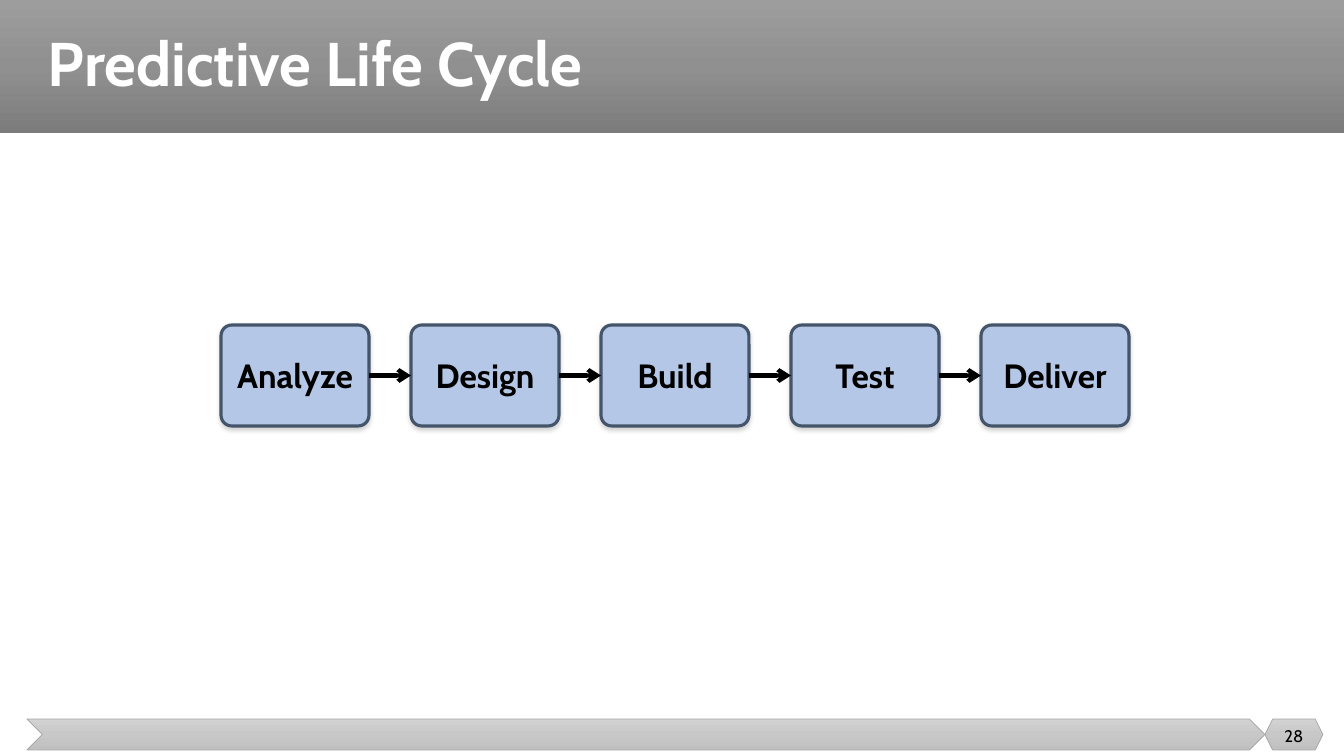
from copy import deepcopy

from lxml import etree
from pptx import Presentation
from pptx.dml.color import RGBColor
from pptx.enum.shapes import MSO_CONNECTOR, MSO_SHAPE
from pptx.enum.text import MSO_ANCHOR, PP_ALIGN
from pptx.oxml.ns import qn
from pptx.util import Pt

EMU_PER_PX = 914400 / 100.8
RECT, ROUNDED = MSO_SHAPE.RECTANGLE, MSO_SHAPE.ROUNDED_RECTANGLE
CHEVRON, HEXAGON = MSO_SHAPE.CHEVRON, MSO_SHAPE.HEXAGON
STRAIGHT = MSO_CONNECTOR.STRAIGHT
LEFT, CENTER = PP_ALIGN.LEFT, PP_ALIGN.CENTER
MIDDLE = MSO_ANCHOR.MIDDLE
LEFT_SIDE, RIGHT_SIDE = 1, 3

FONT = "Cabin"
COLORS = {
    "white": "FFFFFF", "black": "000000", "box": "B4C7E7", "box_line": "44546A",
    "footer_line": "A5A5A5", "shadow": "808080",
}
HEADER_GRADIENT = ("9D9D9D", "909090", "7C7C7C")
FOOTER_GRADIENT = ("D2D2D2", "C8C8C8", "C0C0C0")
STEPS = ("Analyze", "Design", "Build", "Test", "Deliver")


def px(n):
    return round(n * EMU_PER_PX)


def rgb(name):
    return RGBColor.from_string(COLORS[name])


class SlideBuilder:
    def __init__(self, slide):
        self.s = slide

    def put_text(self, sp, text, size, color, bold=False, align=CENTER):
        tf = sp.text_frame
        tf.word_wrap = True
        tf.vertical_anchor = MIDDLE
        p = tf.paragraphs[0]
        p.alignment = align
        r = p.add_run()
        r.text = text
        r.font.name, r.font.size, r.font.bold = FONT, Pt(size), bold
        r.font.color.rgb = rgb(color)
        return p

    def text(self, x, y, w, h, *args, **style):
        sp = self.s.shapes.add_textbox(px(x), px(y), px(w), px(h))
        return self.put_text(sp, *args, **style)

    def shape(self, kind, x, y, w, h, line=None, width=0.5):
        sp = self.s.shapes.add_shape(kind, px(x), px(y), px(w), px(h))
        sp.shadow.inherit = False
        if line:
            sp.line.color.rgb = rgb(line)
            sp.line.width = Pt(width)
        else:
            sp.line.fill.background()
        return sp

    def gradient_bar(self, kind, x, y, w, h, shades, line=None):
        """Draw a shape shaded from top to bottom in three even stops."""
        sp = self.shape(kind, x, y, w, h, line)
        sp.fill.gradient()
        sp.fill.gradient_angle = 270
        stops = sp.element.spPr.find(".//" + qn("a:gsLst"))
        stops.append(deepcopy(stops[-1]))
        for i, (stop, shade) in enumerate(zip(sp.fill.gradient_stops, shades)):
            stop.position = i / 2
            stop.color.rgb = RGBColor.from_string(shade)

    def step_box(self, x, y, w, h, label):
        sp = self.shape(ROUNDED, x, y, w, h, "box_line", 2.25)
        sp.adjustments[0] = 0.107
        sp.fill.solid()
        sp.fill.fore_color.rgb = rgb("box")
        effects = sp.element.spPr.find(qn("a:effectLst"))
        shadow = etree.SubElement(effects, qn("a:outerShdw"), blurRad=str(Pt(3.1)),
                                  dist=str(Pt(1.8)), dir="5400000", rotWithShape="0")
        color = etree.SubElement(shadow, qn("a:srgbClr"), val=COLORS["shadow"])
        etree.SubElement(color, qn("a:alpha"), val="35000")
        tf = sp.text_frame
        tf.margin_left = tf.margin_right = tf.margin_top = tf.margin_bottom = 0
        self.put_text(sp, label, 24, "black", bold=True)
        return sp

    def arrow(self, start, end):
        """Join the right side of one box to the left side of the next."""
        c = self.s.shapes.add_connector(STRAIGHT, 0, 0, 0, 0)
        c.begin_connect(start, RIGHT_SIDE)
        c.end_connect(end, LEFT_SIDE)
        c.line.color.rgb = rgb("black")
        c.line.width = Pt(3)
        spPr = c.element.spPr
        etree.SubElement(spPr.find(qn("a:ln")), qn("a:tailEnd"), type="arrow")
        etree.SubElement(spPr, qn("a:effectLst"))


def main():
    prs = Presentation()
    prs.slide_width, prs.slide_height = px(1344), px(756)
    b = SlideBuilder(prs.slides.add_slide(prs.slide_layouts[6]))

    b.gradient_bar(RECT, 0, 0, 1344, 133, HEADER_GRADIENT)
    b.gradient_bar(CHEVRON, 27, 719, 1238, 31, FOOTER_GRADIENT, "footer_line")
    b.gradient_bar(HEXAGON, 1265, 719, 58, 31, FOOTER_GRADIENT, "footer_line")
    title = b.text(38, 0, 1284, 133, "Predictive Life Cycle", 44, "white",
                   bold=True, align=LEFT)
    title.line_spacing = 0.9
    b.text(1265, 716, 58, 40, "28", 12, "black")

    boxes = [b.step_box(221 + 190 * i, 325, 148, 101, label)
             for i, label in enumerate(STEPS)]
    for start, end in zip(boxes, boxes[1:]):
        b.arrow(start, end)

    prs.save("out.pptx")


if __name__ == "__main__":
    main()
